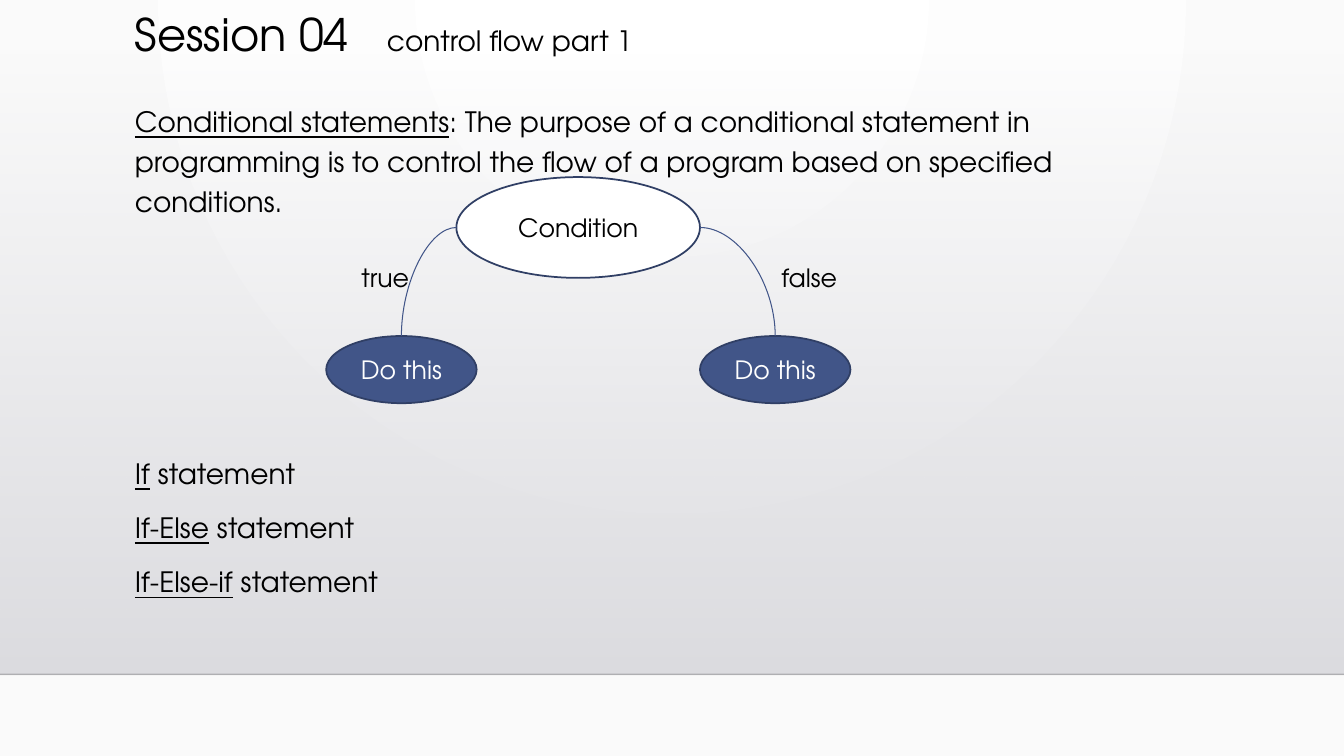
import pptx
import pptx.util
import pptx.dml.color
import pptx.enum.shapes
import pptx.enum.text
import pptx.oxml.ns
import lxml.etree

Pt = pptx.util.Pt
RGBColor = pptx.dml.color.RGBColor
SHAPE = pptx.enum.shapes.MSO_SHAPE
CURVE = pptx.enum.shapes.MSO_CONNECTOR.CURVE
LINE = pptx.enum.shapes.MSO_CONNECTOR.STRAIGHT
ALIGN = pptx.enum.text.PP_ALIGN
ANCHOR = pptx.enum.text.MSO_ANCHOR
qn = pptx.oxml.ns.qn

FONT = "TeX Gyre Adventor"
BLACK = RGBColor(0, 0, 0)
RULE = RGBColor(0, 0, 1)
WHITE = RGBColor(0xFF, 0xFF, 0xFF)
PALE = RGBColor(0xFA, 0xFA, 0xFA)
GREY = RGBColor(0xDC, 0xDC, 0xE0)
DUSK = RGBColor(0xDE, 0xDE, 0xE2)
BLUE = RGBColor(0x41, 0x55, 0x88)
NAVY = RGBColor(0x30, 0x3F, 0x65)

INTRO = ("Conditional statements",
         ": The purpose of a conditional statement in programming is to "
         "control the flow of a program based on specified conditions.")
KINDS = ["If", "If-Else", "If-Else-if"]
GAP = 165  # room for the diagram between the intro and the list


def style(run, size, color=BLACK):
    run.font.name = FONT
    run.font.size = Pt(size)
    run.font.color.rgb = color


def blend(fill, first, last):
    fill.gradient()
    for stop, color in zip(fill.gradient_stops, (first, last)):
        stop.color.rgb = color


def fade(node, percent):
    """Give the first colour below node an opacity."""
    color = next(node.iter(qn("a:srgbClr")))
    lxml.etree.SubElement(color, qn("a:alpha"), val=str(percent * 1000))


def link(slide, kind, start, end, color, width):
    line = slide.shapes.add_connector(kind, *map(Pt, start + end))
    line.line.color.rgb = color
    line.line.width = Pt(width)
    lxml.etree.SubElement(line.element.spPr, qn("a:effectLst"))
    return line


def write(slide, box):
    frame = slide.shapes.add_textbox(*map(Pt, box)).text_frame
    frame.word_wrap = True
    return frame


def backdrop(slide, box):
    """Radial background, shaded stage in the box and a rule below it."""
    fill = slide.background.fill
    blend(fill, WHITE, PALE)
    lin = next(slide.element.iter(qn("a:lin")))
    glow = lxml.etree.Element(qn("a:path"), path="circle")
    lxml.etree.SubElement(glow, qn("a:fillToRect"),
                          l="43000", t="0", r="43000", b="100000")
    lin.getparent().replace(lin, glow)

    stage = slide.shapes.add_shape(SHAPE.RECTANGLE, *map(Pt, box))
    stage.shadow.inherit = False
    blend(stage.fill, GREY, DUSK)
    stage.fill.gradient_angle = 270
    fade(stage.element.spPr, 0)
    stage.line.fill.background()

    left, top, width, height = box
    base = top + height
    rule = link(slide, LINE, (left, base), (left + width, base), RULE, 1)
    fade(rule.element.spPr, 20)


def heading(slide, box):
    line = write(slide, box).paragraphs[0]
    line.text = "Session 04\t"
    line.add_run().text = "control flow part 1"
    line.line_spacing = 0.9
    for run, size in zip(line.runs, (32, 20)):
        style(run, size)


def body(slide, box):
    frame = write(slide, box)
    rows = [INTRO] + [(kind, " statement") for kind in KINDS]
    for i, (term, rest) in enumerate(rows):
        line = frame.add_paragraph() if i else frame.paragraphs[0]
        line.text = term
        line.add_run().text = rest
        line.line_spacing = 1.2
        line.space_before = Pt((0, GAP, 10, 10)[i])
        for run in line.runs:
            style(run, 20)
        line.runs[0].font.underline = True


def oval(slide, box, text, fill, color):
    node = slide.shapes.add_shape(SHAPE.OVAL, *map(Pt, box))
    node.shadow.inherit = False
    node.fill.solid()
    node.fill.fore_color.rgb = fill
    node.line.color.rgb = NAVY
    node.line.width = Pt(1.25)
    frame = node.text_frame
    frame.text = text
    frame.vertical_anchor = ANCHOR.MIDDLE
    frame.paragraphs[0].alignment = ALIGN.CENTER
    style(frame.paragraphs[0].runs[0], 18, color)


def diagram(slide, box):
    """A condition on top that branches to two actions at the bottom."""
    left, top, width, height = box
    wide, tall = 107.5, 48
    ask = (left + 93, top, 174, 72)
    oval(slide, ask, "Condition", WHITE, BLACK)
    low = top + height - tall
    middle = top + ask[3] / 2
    sides = [("true", left, 18, ask[0]),
             ("false", left + width - wide, 51, ask[0] + ask[2])]
    for label, x, shift, edge in sides:
        oval(slide, (x, low, wide, tall), "Do this", BLUE, WHITE)
        frame = write(slide, (x + shift, top + 57, 55.5, 29))
        frame.text = label
        style(frame.paragraphs[0].runs[0], 18)
        arc = link(slide, CURVE, (edge, middle), (x + wide / 2, low),
                   BLUE, 0.75)
        shape = next(arc.element.iter(qn("a:prstGeom")))
        shape.set("prst", "curvedConnector2")


def main():
    deck = pptx.Presentation()
    deck.slide_width, deck.slide_height = Pt(960), Pt(540)
    slide = deck.slides.add_slide(deck.slide_layouts[6])
    backdrop(slide, (0, 36.7, 960, 445))
    body(slide, (89.3, 66.2, 756, 408))
    heading(slide, (89.3, 5.8, 756, 42.5))
    diagram(slide, (233, 126.5, 374.5, 161.5))
    deck.save("out.pptx")


if __name__ == "__main__":
    main()
